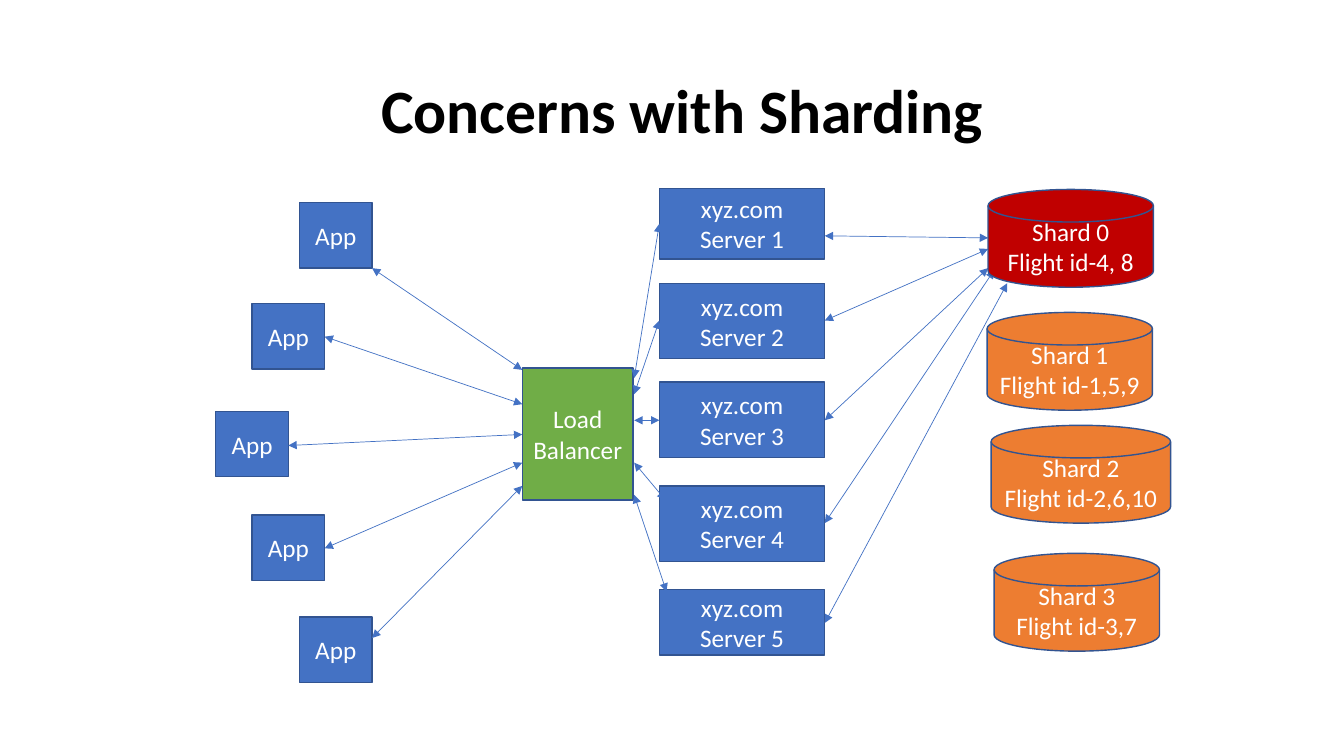
from collections import namedtuple

from lxml import etree
from pptx import Presentation
from pptx.dml.color import RGBColor
from pptx.enum.shapes import MSO_CONNECTOR, MSO_SHAPE
from pptx.enum.text import MSO_ANCHOR, PP_ALIGN
from pptx.oxml.ns import qn
from pptx.util import Inches, Pt

COLUMNS, ROWS = 13.33, 7.5
SLIDE_WIDTH, SLIDE_HEIGHT = Inches(COLUMNS), Inches(ROWS)
FONT = "Calibri"
BLUE, GREEN, ORANGE, RED = "4472C4", "70AD47", "ED7D31", "C00000"
OUTLINE, WHITE, BLACK = "325491", "FFFFFF", "000000"

Box = namedtuple("Box", "left top width height")


def paint(target, color):
    target.rgb = RGBColor.from_string(color)


def fill_with(target, color):
    target.solid()
    paint(target.fore_color, color)


def across(columns):
    return round(SLIDE_WIDTH * columns / COLUMNS)


def down(rows):
    return round(SLIDE_HEIGHT * rows / ROWS)


def place(box):
    return across(box.left), down(box.top), across(box.width), down(box.height)


def within(region, left, top, width, height):
    return Box(region.left + left, region.top + top, width, height)


def style_text(paragraph, size, color, bold=False):
    paragraph.font.name = FONT
    paragraph.font.size = Pt(size)
    paragraph.font.bold = bold
    paint(paragraph.font.color, color)


def add_node(slide, kind, box, label, color):
    node = slide.shapes.add_shape(kind, *place(box))
    node.shadow.inherit = False
    fill_with(node.fill, color)
    fill_with(node.line.fill, OUTLINE)
    node.line.width = Pt(1)
    frame = node.text_frame
    frame.word_wrap = True
    frame.vertical_anchor = MSO_ANCHOR.MIDDLE
    frame.text = label
    for paragraph in frame.paragraphs:
        paragraph.alignment = PP_ALIGN.CENTER
        style_text(paragraph, 18, WHITE)


def add_link(slide, start, end):
    link = slide.shapes.add_connector(
        MSO_CONNECTOR.STRAIGHT,
        across(start[0]), down(start[1]), across(end[0]), down(end[1]),
    )
    fill_with(link.line.fill, BLUE)
    link.line.width = Pt(0.5)
    outline = link.line._get_or_add_ln()
    for tip in ("a:headEnd", "a:tailEnd"):
        etree.SubElement(outline, qn(tip), type="triangle")
    etree.SubElement(link._element.spPr, qn("a:effectLst"))


def add_heading(slide, box):
    heading = slide.shapes.add_textbox(*place(box))
    frame = heading.text_frame
    frame.word_wrap = True
    frame.vertical_anchor = MSO_ANCHOR.MIDDLE
    frame.margin_left = across(2.86)
    frame.text = "Concerns with Sharding"
    frame.paragraphs[0].line_spacing = 0.9
    style_text(frame.paragraphs[0], 44, BLACK, bold=True)


def add_clients(slide, region, balancer):
    width, height = 0.72, 0.65
    indents = (0.83, 0.36, 0, 0.36, 0.83)
    tops = (0, 1, 2.07, 3.1, 4.11)
    exits = (0.65, 0.33, 0.34, 0.33, 0.21)
    entries = (0.02, 0.36, 0.66, 0.94, 1.17)
    for indent, top, leave, enter in zip(indents, tops, exits, entries):
        client = within(region, indent, top, width, height)
        add_node(slide, MSO_SHAPE.RECTANGLE, client, "App", BLUE)
        add_link(slide, (client.left + width, client.top + leave),
                 (balancer.left, balancer.top + enter))


def add_servers(slide, region, hot_shard):
    tops = (0, 0.94, 1.92, 2.95, 3.98)
    heights = (0.7, 0.75, 0.75, 0.75, 0.65)
    exits = (0.47, 0.37, 0.38, 0.37, 0.33)
    entries = ((0, 0.48), (0, 0.59), (0, 0.78), (0.06, 0.8), (0.19, 0.93))
    servers = [within(region, 0, top, region.width, height)
               for top, height in zip(tops, heights)]
    for number, server in enumerate(servers, 1):
        add_node(slide, MSO_SHAPE.RECTANGLE, server,
                 f"xyz.com\nServer {number}", BLUE)
    for server, leave, (right, below) in zip(servers, exits, entries):
        add_link(slide, (server.left + server.width, server.top + leave),
                 (hot_shard.left + right, hot_shard.top + below))
    return servers


def add_balancer(slide, box, servers):
    add_node(slide, MSO_SHAPE.RECTANGLE, box, "Load Balancer", GREEN)
    exits = (0.1, 0.26, 0.52, 0.94, 1.26)
    entries = ((0, 0.35), (0, 0.37), (0, 0.38), (0.06, 0.14), (0.07, 0.02))
    for server, leave, (right, below) in zip(servers, exits, entries):
        add_link(slide, (server.left + right, server.top + below),
                 (box.left + box.width + 0.01, box.top + leave))


def add_shards(slide, region, hot_shard):
    shards = (
        (hot_shard, "4, 8", RED),
        (within(region, 0, 1.22, 1.64, 0.97), "1,5,9", ORANGE),
        (within(region, 0.04, 2.34, 1.78, 0.97), "2,6,10", ORANGE),
        (within(region, 0.07, 3.61, 1.64, 0.97), "3,7", ORANGE),
    )
    for number, (shard, flights, color) in enumerate(shards):
        add_node(slide, MSO_SHAPE.FLOWCHART_MAGNETIC_DISK, shard,
                 f"Shard {number}\nFlight id-{flights}", color)


def build_sharding_slide(slide):
    clients = Box(2.14, 2.01, 1.55, 4.76)
    balancer = Box(5.18, 3.65, 1.1, 1.31)
    server_column = Box(6.54, 1.87, 1.64, 4.63)
    shards = Box(9.79, 1.88, 1.82, 4.58)
    hot_shard = within(shards, 0.01, 0, 1.64, 0.97)
    fill_with(slide.background.fill, WHITE)
    add_heading(slide, Box(0.92, 0.4, 11.5, 1.45))
    add_clients(slide, clients, balancer)
    servers = add_servers(slide, server_column, hot_shard)
    add_balancer(slide, balancer, servers)
    add_shards(slide, shards, hot_shard)


def main():
    presentation = Presentation()
    presentation.slide_width = SLIDE_WIDTH
    presentation.slide_height = SLIDE_HEIGHT
    build_sharding_slide(presentation.slides.add_slide(presentation.slide_layouts[6]))
    presentation.save("out.pptx")


if __name__ == "__main__":
    main()
